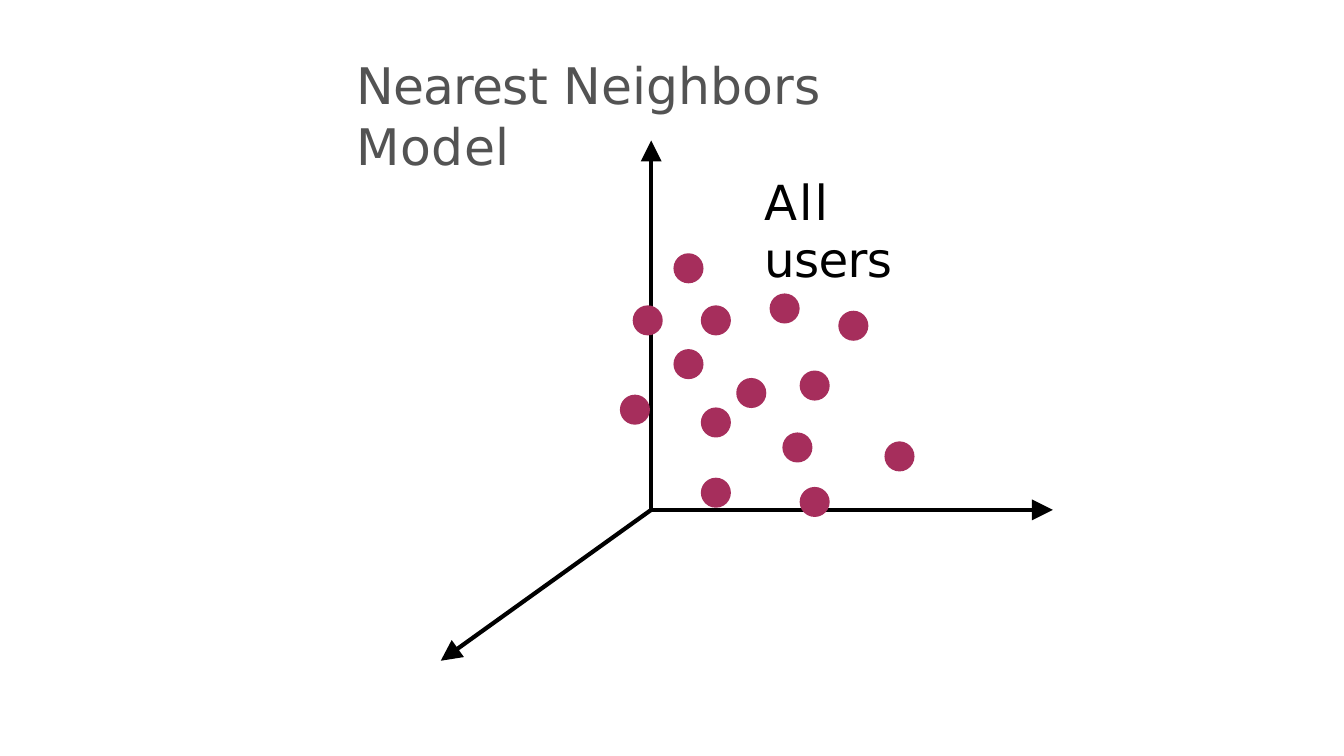
from dataclasses import dataclass

from lxml import etree
from pptx import Presentation
from pptx.dml.color import RGBColor
from pptx.enum.shapes import MSO_CONNECTOR, MSO_SHAPE
from pptx.enum.text import MSO_ANCHOR, MSO_AUTO_SIZE, PP_ALIGN
from pptx.oxml.ns import qn
from pptx.util import Cm, Pt

LINE = MSO_CONNECTOR.STRAIGHT
OVAL = MSO_SHAPE.OVAL
TOP = MSO_ANCHOR.TOP
GROW = MSO_AUTO_SIZE.SHAPE_TO_FIT_TEXT
LEFT = PP_ALIGN.LEFT


@dataclass(frozen=True)
class Theme:
    font: str = "DejaVu Sans"
    gray: RGBColor = RGBColor(0x53, 0x53, 0x53)
    black: RGBColor = RGBColor(0, 0, 0)
    berry: RGBColor = RGBColor(0xA6, 0x2E, 0x5C)
    head: Pt = Pt(48)
    label: Pt = Pt(46)
    axis: Pt = Pt(4)


theme = Theme()


def write(shape, parts, size, color):
    """Fill a shape with one paragraph of (text, letter spacing) parts."""
    frame = shape.text_frame
    frame.word_wrap = True
    frame.auto_size = GROW
    frame.vertical_anchor = TOP
    frame.margin_left = frame.margin_right = frame.margin_bottom = 0
    frame.margin_top = Cm(0.03)
    para = frame.paragraphs[0]
    para.alignment = LEFT
    para.space_before = Pt(1)
    para.font.name = theme.font
    para.font.size = size
    para.font.color.rgb = color
    for text, gap in parts:
        run = para.add_run()
        run.text = text
        run.font._element.set("spc", str(gap))


deck = Presentation()
deck.slide_width, deck.slide_height = Cm(45.16), Cm(25.4)
slide = deck.slides.add_slide(deck.slide_layouts[5])
shapes = slide.shapes

# Title and label; letter spacing in hundredths of a point
title = shapes.title
title.left, title.top = Cm(11.97), Cm(1.8)
title.width, title.height = Cm(21.2), Cm(2.1)
write(title, [("Nearest ", -70), ("Neighbors ", 20), ("Model", 60)],
      theme.head, theme.gray)

label = shapes.add_textbox(Cm(25.68), Cm(5.74), Cm(7.04), Cm(2))
write(label, [("All ", 190), ("users", -60)], theme.label, theme.black)

# Three axes from one origin
origin = Cm(21.88), Cm(17.13)
tips = [(35.38, 17.13), (14.81, 22.2), (21.88, 4.72)]
for x, y in tips:
    axis = shapes.add_connector(LINE, *origin, Cm(x), Cm(y))
    axis.line.color.rgb = theme.black
    axis.line.width = theme.axis
    etree.SubElement(axis.line._get_or_add_ln(), qn("a:tailEnd"),
                     type="triangle", w="lg", len="lg")
    etree.SubElement(axis._element.spPr, qn("a:effectLst"))

# One dot per user: left, top
dot = Cm(1.01)
users = [
    (28.17, 10.44), (21.26, 10.26), (22.63, 8.51), (20.83, 13.26),
    (23.55, 13.69), (26.87, 12.45), (23.55, 10.26), (22.63, 11.73),
    (25.86, 9.86), (26.87, 16.36), (23.55, 16.05), (26.29, 14.53),
    (29.72, 14.83), (24.74, 12.7),
]
for x, y in users:
    user = shapes.add_shape(OVAL, Cm(x), Cm(y), dot, dot)
    user.shadow.inherit = False
    user.fill.solid()
    user.fill.fore_color.rgb = theme.berry
    user.line.fill.background()

deck.save("out.pptx")
